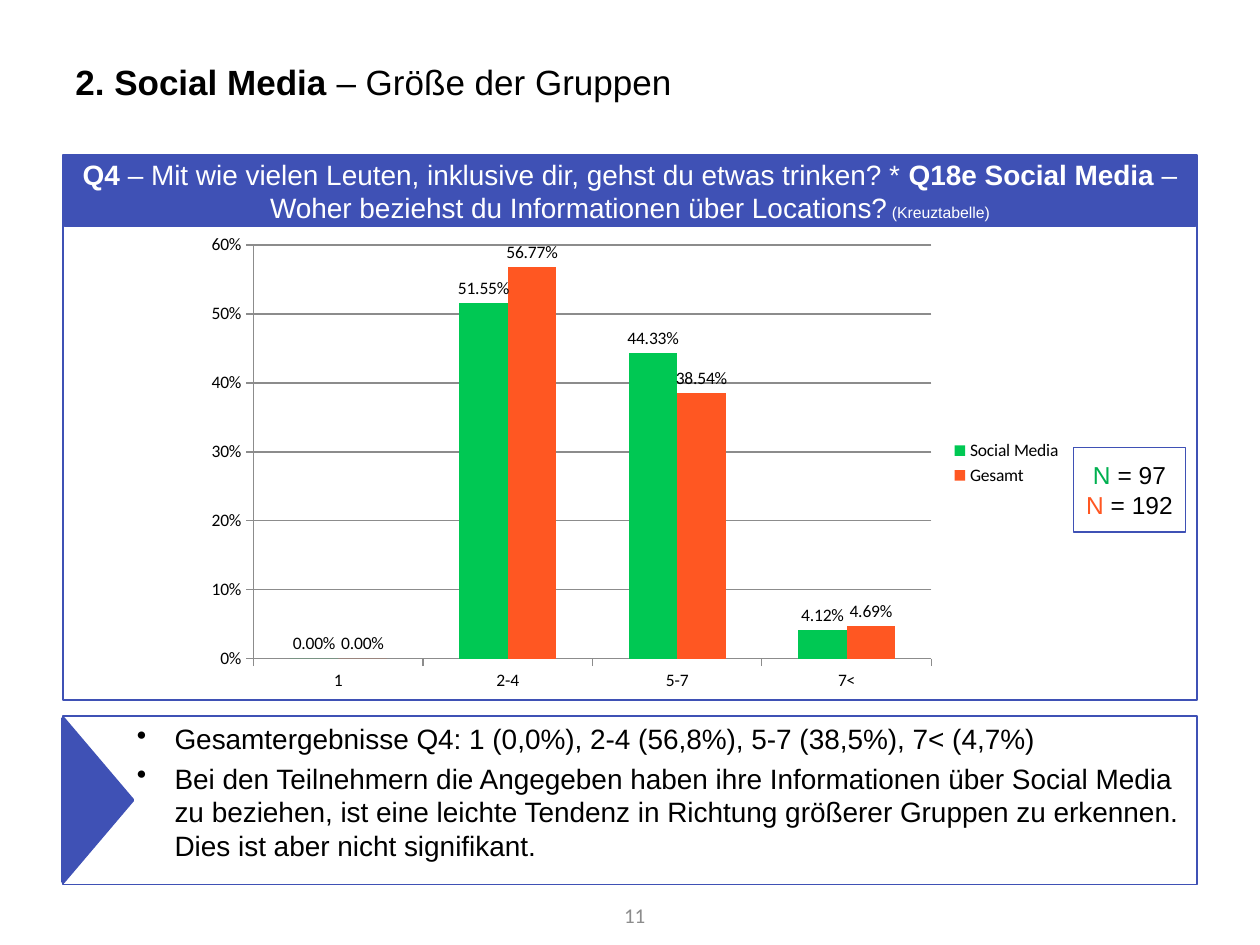
from lxml import etree
from pptx import Presentation
from pptx.chart.data import CategoryChartData
from pptx.dml.color import RGBColor
from pptx.enum.chart import XL_CHART_TYPE as ChartType, XL_LABEL_POSITION as LabelPos
from pptx.enum.chart import XL_LEGEND_POSITION as LegendPos, XL_TICK_MARK as Tick
from pptx.enum.shapes import MSO_SHAPE as Shape
from pptx.enum.text import MSO_ANCHOR as Anchor, PP_ALIGN as Align
from pptx.oxml.ns import qn
from pptx.util import Cm, Pt

BLUE, GREEN, ORANGE = "3F51B5", "00C853", "FF5722"
BLACK, WHITE, GRAY = "000000", "FFFFFF", "8C8C8C"


def rgb(color):
    return RGBColor.from_string(color)


def style_font(font, size, color=BLACK, name="Arial"):
    font.size, font.name = Pt(size), name
    font.color.rgb = rgb(color)


def add_box(slide, box, fill=None, line_width=1, kind=Shape.RECTANGLE):
    shape = slide.shapes.add_shape(kind, *map(Cm, box))
    shape.shadow.inherit = False
    if fill:
        shape.fill.solid()
        shape.fill.fore_color.rgb = rgb(fill)
    else:
        shape.fill.background()
    shape.line.color.rgb = rgb(BLUE)
    shape.line.width = Pt(line_width)
    return shape


def write(shape, paragraphs, size, color=BLACK, align=Align.LEFT,
          anchor=Anchor.MIDDLE, name="Arial"):
    """Each paragraph is a list of (text, font settings) runs."""
    frame = shape.text_frame
    frame.word_wrap = True
    frame.vertical_anchor = anchor
    for index, runs in enumerate(paragraphs):
        paragraph = frame.add_paragraph() if index else frame.paragraphs[0]
        paragraph.alignment = align
        style_font(paragraph.font, size, color, name)
        for text, settings in runs:
            run = paragraph.add_run()
            run.text = text
            if "bold" in settings:
                run.font.bold = settings["bold"]
            if "size" in settings:
                run.font.size = Pt(settings["size"])
            if "color" in settings:
                run.font.color.rgb = rgb(settings["color"])
    return frame.paragraphs


def add_title(slide, box):
    title = slide.shapes.add_textbox(*map(Cm, box))
    write(title, [[("2. Social Media ", {"bold": True}), ("– Größe der Gruppen", {})]], 20)


def add_group_chart(slide, box):
    data = CategoryChartData(number_format="0.00%")
    data.categories = ["1", "2-4", "5-7", "7<"]
    data.add_series("Social Media", [0, 0.5155, 0.4433, 0.0412])
    data.add_series("Gesamt", [0, 0.5677, 0.3854, 0.0469])
    chart = slide.shapes.add_chart(ChartType.COLUMN_CLUSTERED, *map(Cm, box), data).chart
    style_font(chart.font, 10, BLACK, "Calibri")
    chart.has_title = False
    chart.has_legend = True
    chart.legend.position = LegendPos.RIGHT
    chart.legend.include_in_layout = False

    # Axes and gridlines
    shares = chart.value_axis
    shares.minimum_scale, shares.maximum_scale, shares.major_unit = 0, 0.6, 0.1
    shares.tick_labels.number_format = "0%"
    shares.tick_labels.number_format_is_linked = False
    for axis in (chart.category_axis, shares):
        axis.major_tick_mark = Tick.OUTSIDE
        axis.format.line.color.rgb = rgb(GRAY)
    shares.major_gridlines.format.line.color.rgb = rgb(GRAY)

    # Columns and their labels
    plot = chart.plots[0]
    plot.gap_width, plot.overlap = 150, 0
    plot.vary_by_categories = False
    for series, color in zip(plot.series, (GREEN, ORANGE)):
        series.format.fill.solid()
        series.format.fill.fore_color.rgb = rgb(color)
        labels = series.data_labels
        labels.show_value = True
        labels.number_format = "0.00%"
        labels.number_format_is_linked = False
        labels.position = LabelPos.OUTSIDE_END


def add_question_panel(slide, box):
    left, top, width, height = box
    header_height = 1.4
    add_box(slide, box)

    # Question header
    header = add_box(slide, (left + 0.03, top + 0.03, width - 0.06, header_height), BLUE, 2)
    write(header, [[
        ("Q4 ", {"bold": True}),
        ("– Mit wie vielen Leuten, inklusive dir, gehst du etwas trinken? * ", {}),
        ("Q18e Social Media", {"bold": True}),
        (" – Woher beziehst du Informationen über Locations?", {}),
        (" (Kreuztabelle)", {"size": 9}),
    ]], 16, WHITE, Align.CENTER)

    chart_top = header_height + 0.03
    add_group_chart(slide, (left + 2.64, top + chart_top, 17.75, height - chart_top))

    # Sample sizes
    samples = add_box(slide, (left + width - 2.49, top + 5.9, 2.26, 1.7))
    samples.text_frame.margin_left = samples.text_frame.margin_right = Cm(0.1)
    write(samples, [[("N", {"color": "00B050"}), (" = 97", {})],
                    [("N", {"color": ORANGE}), (" = 192", {})]], 14, align=Align.CENTER)


def add_findings(slide, box):
    left, top, width, height = box
    findings = add_box(slide, box)
    paragraphs = write(findings, [
        [("Gesamtergebnisse Q4: 1 (0,0%), 2-4 (56,8%), 5-7 (38,5%), 7< (4,7%)", {})],
        [("Bei den Teilnehmern die Angegeben haben ihre Informationen über Social Media "
          "zu beziehen, ist eine leichte Tendenz in Richtung größerer Gruppen zu erkennen. "
          "Dies ist aber nicht signifikant.", {})],
    ], 16, anchor=Anchor.TOP)
    for paragraph in paragraphs:
        paragraph.space_before = Pt(3.2)
        properties = paragraph.font._element.getparent()
        properties.set("marL", str(Cm(2)))
        properties.set("indent", str(-Cm(0.76)))
        bullet = etree.Element(qn("a:buChar"), char="•")
        properties.insert(properties.index(paragraph.font._element), bullet)

    # Arrow pointing at the findings: a triangle turned about its centre
    base, depth = height - 0.1, 1.4
    arrow = add_box(slide, (left + (depth - base) / 2, top + (height - depth) / 2, base, depth),
                    BLUE, 2, Shape.ISOSCELES_TRIANGLE)
    arrow.rotation = 90


def add_page_number(slide, box):
    number = slide.shapes.add_textbox(*map(Cm, box))
    write(number, [[("11", {})]], 12, GRAY, Align.RIGHT, name="Calibri")


def main():
    deck = Presentation()
    deck.slide_width, deck.slide_height = Cm(25.4), Cm(19.05)
    slide = deck.slides.add_slide(deck.slide_layouts[6])
    margin, width = 1.27, 22.86
    add_title(slide, (margin, 0.76, width, 1.75))
    add_findings(slide, (margin, 14.43, width, 3.4))
    add_question_panel(slide, (margin, 3.12, width, 11))
    add_page_number(slide, (11.66, 17.93, 1.6, 1.02))
    deck.save("out.pptx")


if __name__ == "__main__":
    main()
